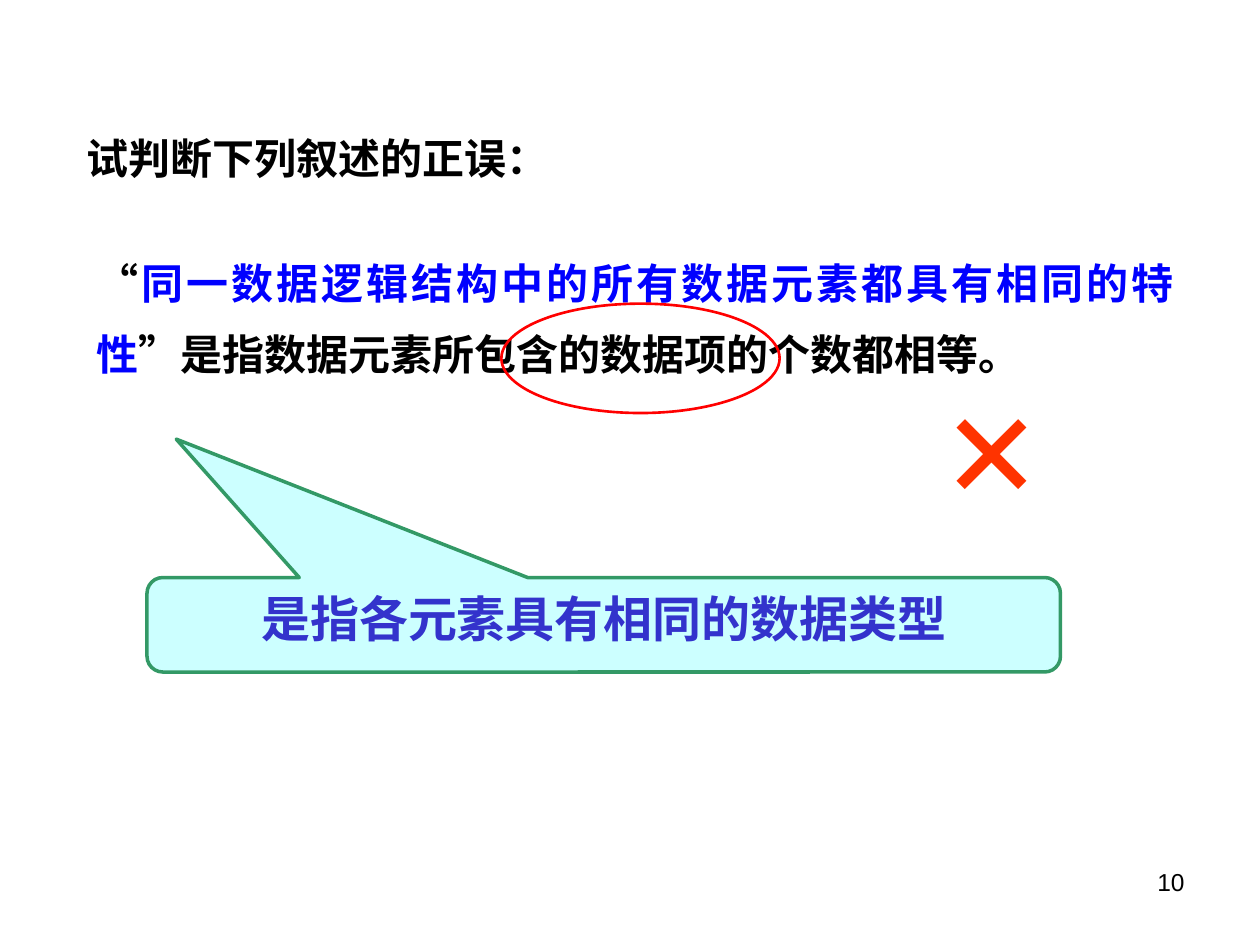
"""Build a true-or-false slide on logical data structures."""
import pptx
import pptx.util
import pptx.dml.color
import pptx.enum.lang
import pptx.enum.shapes
import pptx.enum.text
import pptx.oxml

Pt = pptx.util.Pt
RGBColor = pptx.dml.color.RGBColor
Align = pptx.enum.text.PP_ALIGN
Shape = pptx.enum.shapes.MSO_SHAPE

BLACK = RGBColor(0, 0, 0)
BLUE = RGBColor(0, 0, 255)
RED = RGBColor(255, 0, 0)
ORANGE = RGBColor(255, 51, 0)
INDIGO = RGBColor(51, 51, 204)
GREEN = RGBColor(51, 153, 102)
CYAN = RGBColor(204, 255, 255)

QUESTION = [("试判断下列叙述的正误：", BLACK)]
STATEMENT = [
    ("“", BLACK),
    ("同一数据逻辑结构中的所有数据元素都具有相同的特性", BLUE),
    ("”是指数据元素所包含的数据项的个数都相等。", BLACK),
]
VERDICT = [("×", ORANGE)]
ANSWER = [("是指各元素具有相同的数据类型", INDIGO)]
PAGE_NUMBER = [("10", BLACK)]

QUESTION_AREA = (42.5, 72, 278, 36)
STATEMENT_AREA = (48, 132, 630, 138)
VERDICT_AREA = (480, 192, 174, 122.4)
ANSWER_AREA = (84, 330, 522, 54)
ELLIPSE_AREA = (286.5, 173.5, 159, 62.5)
NUMBER_AREA = (516, 492, 168, 37.5)
CALLOUT_ADJUSTMENTS = (-0.468, -1.965, 0.167)


def place(box, area):
    box.left, box.top, box.width, box.height = map(Pt, area)


def write(box, spans, *, size, font, align=Align.LEFT, bold=True, spacing=1.0, wrap=True):
    frame = box.text_frame
    frame.word_wrap = wrap
    frame.auto_size = pptx.enum.text.MSO_AUTO_SIZE.NONE
    frame.vertical_anchor = pptx.enum.text.MSO_ANCHOR.TOP
    frame.margin_left = frame.margin_right = Pt(7.2)
    frame.margin_top = frame.margin_bottom = Pt(3.6)
    para = frame.paragraphs[0]
    para.alignment = align
    para.line_spacing = spacing
    para.space_before = Pt(0)
    for text, color in spans:
        span = para.add_run()
        span.text = text
        span.font.size = Pt(size)
        span.font.name = font
        span.font.bold = bold
        span.font.color.rgb = color
        span.font.language_id = pptx.enum.lang.MSO_LANGUAGE_ID.SIMPLIFIED_CHINESE
    return para


def add_outlined(page, kind, area, color, width):
    box = page.shapes.add_shape(kind, *map(Pt, area))
    box.shadow.inherit = False
    box.line.color.rgb = color
    box.line.width = Pt(width)
    return box


def main():
    deck = pptx.Presentation()
    deck.slide_width, deck.slide_height = Pt(720), Pt(540)
    page = deck.slides.add_slide(deck.slide_layouts[1])

    statement = page.placeholders[1]
    place(statement, STATEMENT_AREA)
    para = write(statement, STATEMENT, size=24, font="Arial", align=Align.JUSTIFY, spacing=1.4)
    properties = para._p.get_or_add_pPr()
    properties.set("marL", "0")
    properties.set("indent", "0")
    properties.append(pptx.oxml.parse_xml(
        '<a:buNone xmlns:a="http://schemas.openxmlformats.org/drawingml/2006/main"/>'))

    verdict = page.shapes.add_textbox(*map(Pt, VERDICT_AREA))
    write(verdict, VERDICT, size=96, font="Times New Roman", align=Align.CENTER)

    answer = add_outlined(page, Shape.ROUNDED_RECTANGULAR_CALLOUT, ANSWER_AREA, GREEN, 2)
    answer.fill.solid()
    answer.fill.fore_color.rgb = CYAN
    for index, value in enumerate(CALLOUT_ADJUSTMENTS):
        answer.adjustments[index] = value
    write(answer, ANSWER, size=28, font="Times New Roman", align=Align.CENTER)

    question = page.shapes.title
    place(question, QUESTION_AREA)
    write(question, QUESTION, size=24, font="Montserrat", wrap=False)

    ellipse = add_outlined(page, Shape.OVAL, ELLIPSE_AREA, RED, 1.5)
    ellipse.fill.background()

    number = page.shapes.add_textbox(*map(Pt, NUMBER_AREA))
    write(number, PAGE_NUMBER, size=14, font="Arial", align=Align.RIGHT, bold=False)

    deck.save("out.pptx")


if __name__ == "__main__":
    main()
